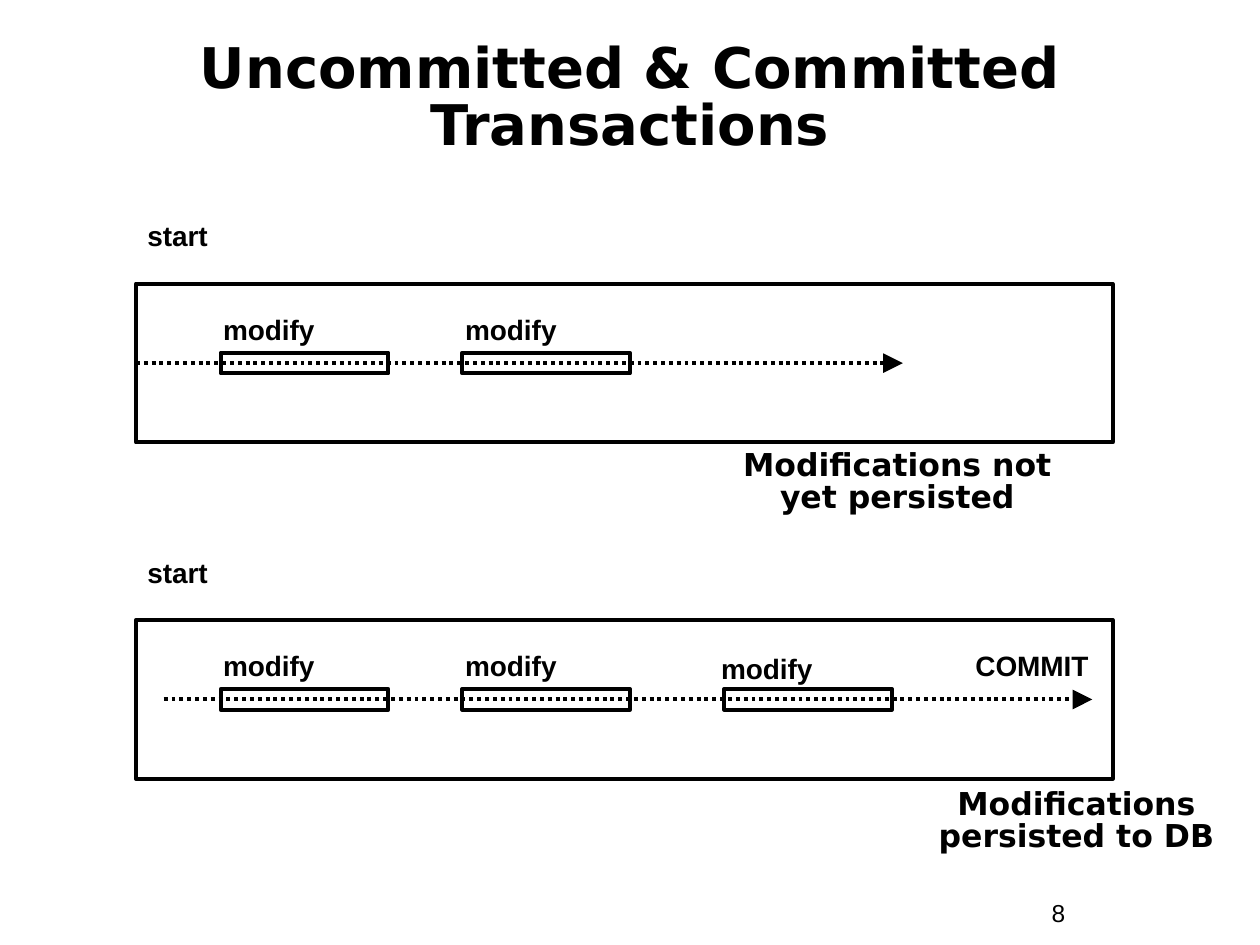
from dataclasses import dataclass

from lxml import etree
from pptx import Presentation
from pptx.dml.color import RGBColor
from pptx.enum.dml import MSO_LINE
from pptx.enum.shapes import MSO_CONNECTOR, MSO_SHAPE
from pptx.enum.text import MSO_ANCHOR, PP_ALIGN
from pptx.oxml.ns import qn
from pptx.slide import Slide
from pptx.util import Cm, Pt

RECT = MSO_SHAPE.RECTANGLE
STRAIGHT = MSO_CONNECTOR.STRAIGHT
DOTS = MSO_LINE.ROUND_DOT
MIDDLE = MSO_ANCHOR.MIDDLE
CENTER = PP_ALIGN.CENTER
LEFT = PP_ALIGN.LEFT


def color(code):
    return RGBColor.from_string(code)


@dataclass
class Board:
    """Draws the timeline elements in one style on the current slide."""

    slide: Slide
    ink: str = "000000"
    head: str = "DejaVu Sans"
    sans: str = "Arial"
    weight: float = 2.25

    def put(self, frame, text, size, font, lead, bold=True, align=CENTER):
        frame.word_wrap = True
        para = frame.paragraphs[0]
        para.alignment = align
        para.line_spacing = lead
        para.space_before = Pt(0)
        run = para.add_run()
        run.text = text
        run.font.size = Pt(size)
        run.font.name = font
        run.font.bold = bold
        run.font.color.rgb = color(self.ink)

    def title(self, text, x, y, w, h):
        shape = self.slide.shapes.title
        shape.left, shape.top, shape.width, shape.height = Cm(x), Cm(y), Cm(w), Cm(h)
        shape.text_frame.vertical_anchor = MIDDLE
        self.put(shape.text_frame, text, 32, self.head, 0.85)

    def label(self, text, x, y, w, h, size=16, font=None, lead=0.7, **style):
        box = self.slide.shapes.add_textbox(Cm(x), Cm(y), Cm(w), Cm(h))
        self.put(box.text_frame, text, size, font or self.sans, lead, **style)

    def rect(self, x, y, w, h):
        shape = self.slide.shapes.add_shape(RECT, Cm(x), Cm(y), Cm(w), Cm(h))
        shape.shadow.inherit = False
        shape.fill.background()
        shape.line.color.rgb = color(self.ink)
        shape.line.width = Pt(self.weight)
        return shape

    def arrow(self, x, end, y, frame=None):
        link = self.slide.shapes.add_connector(STRAIGHT, Cm(x), Cm(y), Cm(end), Cm(y))
        if frame is not None:
            link.begin_connect(frame, 1)
        link.line.color.rgb = color(self.ink)
        link.line.width = Pt(self.weight)
        link.line.dash_style = DOTS
        props = link._element.spPr
        tail = etree.SubElement(props.find(qn("a:ln")), qn("a:tailEnd"))
        for key, value in (("type", "triangle"), ("w", "lg"), ("len", "lg")):
            tail.set(key, value)
        etree.SubElement(props, qn("a:effectLst"))

    def lane(self, top, start, end, steps, joined=False):
        frame = self.rect(2.74, top, 19.69, 3.2)
        axis = top + 1.6
        self.label("start", 1.7, top - 1.3, 3.76, 1.17, lead=0.8)
        self.arrow(start, end, axis, frame if joined else None)
        for bar, name, drop in steps:
            self.rect(bar, axis - 0.21, 3.38, 0.42)
            self.label("modify", name, top + 0.64 + drop, 3.38, 0.74)


def main():
    deck = Presentation()
    deck.slide_width, deck.slide_height = Cm(25.4), Cm(19.05)
    board = Board(deck.slides.add_slide(deck.slide_layouts[5]))
    board.title("Uncommitted & Committed Transactions", 0.85, 0.85, 23.7, 2.33)

    steps = [(4.45, 3.73, 0), (9.32, 8.61, 0)]
    note = {"size": 18, "font": board.head, "lead": 0.85}
    board.lane(5.72, 2.74, 18.2, steps, joined=True)
    board.label("Modifications not yet persisted", 14.6, 8.97, 6.98, 1.55, **note)

    board.lane(12.5, 3.3, 22.02, steps + [(14.6, 13.77, 0.05)])
    board.label("COMMIT", 18.9, 13.14, 3.81, 0.74)
    board.label("Modifications persisted to DB", 18.42, 15.8, 6.56, 1.55, **note)

    board.label("8", 20.95, 17.98, 2.33, 0.86, size=14, lead=1.0, bold=False, align=LEFT)
    deck.save("out.pptx")


if __name__ == "__main__":
    main()
